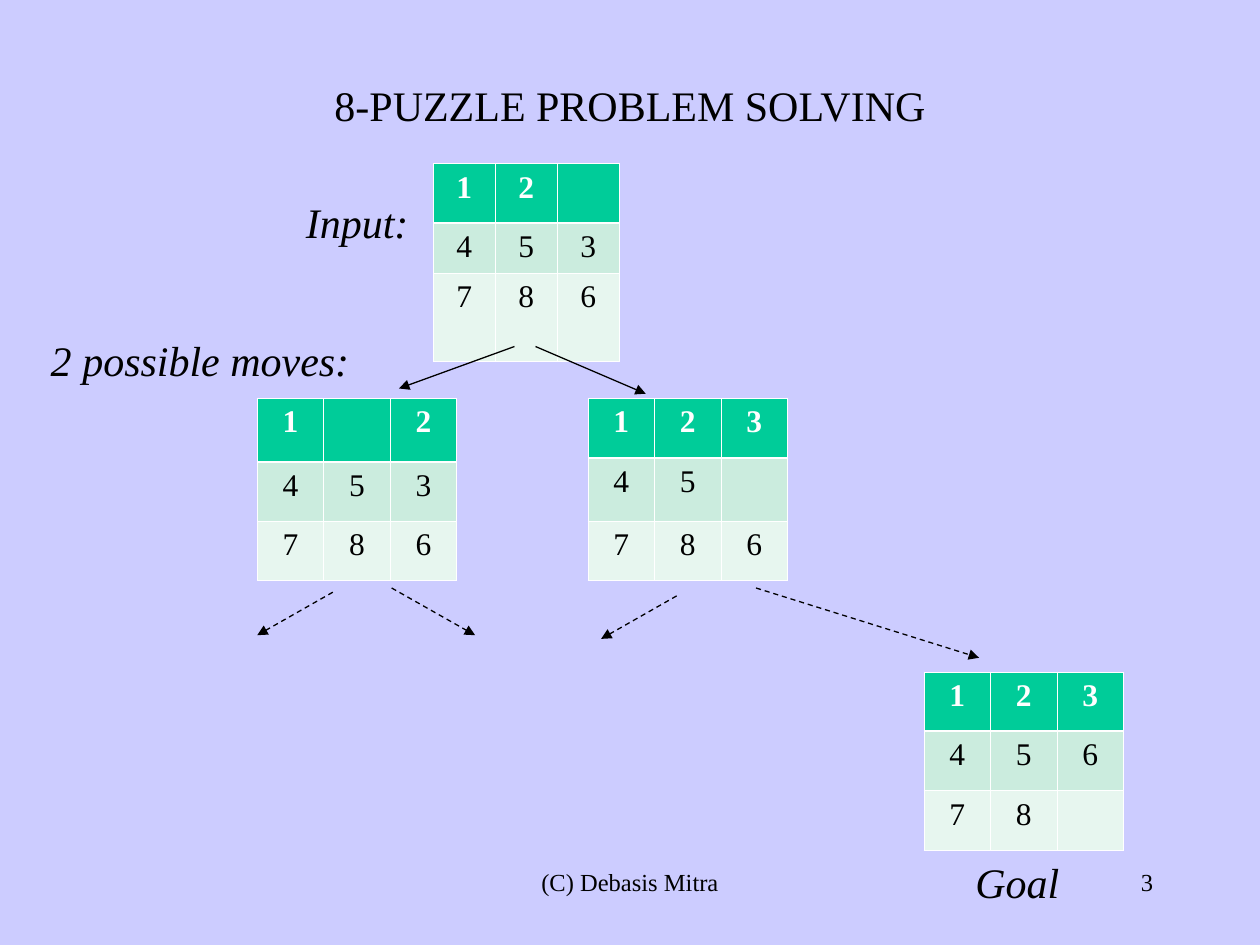
from lxml.etree import SubElement
from pptx import Presentation
from pptx.dml.color import RGBColor
from pptx.enum.dml import MSO_LINE
from pptx.enum.shapes import MSO_CONNECTOR
from pptx.enum.text import MSO_ANCHOR, MSO_AUTO_SIZE, PP_ALIGN
from pptx.oxml.ns import qn
from pptx.util import Inches, Pt

BACKGROUND = RGBColor(0xCC, 0xCC, 0xFF)
BLACK = RGBColor(0, 0, 0)
WHITE = RGBColor(0xFF, 0xFF, 0xFF)
HEADER = RGBColor(0x00, 0xCC, 0x99)
BAND = RGBColor(0xCB, 0xEC, 0xDE)
PALE = RGBColor(0xE7, 0xF6, 0xEF)

# The slide is a grid of 120 columns by 90 rows
COLUMNS, ROWS = 120, 90
CELL = Inches(10) / COLUMNS

THIN, THICK = 0.45, 1.47
TITLE_FONT = {"size": Pt(24), "name": "Times New Roman"}
LABEL_FONT = {**TITLE_FONT, "italic": True}
FOOTER_FONT = {**TITLE_FONT, "size": Pt(14)}
TILE_FONT = {**TITLE_FONT, "size": Pt(18), "bold": False}

# Box (left, top, width), row heights and tiles of each board
PUZZLES = [
    ((88, 64, 19), (5.65, 5.65, 5.65), ("123", "456", "78 ")),
    ((41.25, 15.6, 17.75), (5.65, 4.8, 8.4), ("12 ", "453", "786")),
    ((56, 37.95, 19), (5.65, 6.05, 5.65), ("123", "45 ", "786")),
    ((24.5, 37.95, 19), (6.05, 5.65, 5.65), ("1 2", "453", "786")),
]
LABELS = [
    ((27.95, 18.1, 12.3, 6), "Input:"),
    ((91.7, 81, 10.5, 6), "Goal"),
    ((3.65, 31.25, 30.9, 6), "2 possible moves:"),
]
# Start, end and whether the move is only hinted at
MOVES = [
    ((49, 33), (38, 37), False),
    ((51, 33), (61.5, 37.5), False),
    ((72, 56), (93.25, 62.65), True),
    ((37.3, 56), (45.25, 60.5), True),
    ((31.7, 56.4), (24.5, 60.5), True),
    ((64.45, 56.75), (57.25, 60.85), True),
]


def grid(*steps):
    return [round(step * CELL) for step in steps]


def write(paragraph, text, font, color=BLACK, alignment=PP_ALIGN.LEFT):
    paragraph.alignment = alignment
    run = paragraph.add_run()
    run.text = text
    for name, value in font.items():
        setattr(run.font, name, value)
    run.font.color.rgb = color


def add_title(slide, box, text):
    title = slide.shapes.title
    title.left, title.top, title.width, title.height = grid(*box)
    title.text_frame.vertical_anchor = MSO_ANCHOR.MIDDLE
    write(title.text_frame.paragraphs[0], text, TITLE_FONT, alignment=PP_ALIGN.CENTER)


def add_text(slide, box, text, font, alignment=PP_ALIGN.LEFT):
    frame = slide.shapes.add_textbox(*grid(*box)).text_frame
    frame.word_wrap = True
    write(frame.paragraphs[0], text, font, alignment=alignment)
    return frame


def add_label(slide, box, text):
    # A label stays on one line and its box grows with it
    frame = add_text(slide, box, text, LABEL_FONT)
    frame.word_wrap = False
    frame.auto_size = MSO_AUTO_SIZE.SHAPE_TO_FIT_TEXT


def set_borders(cell, widths):
    properties = cell._tc.get_or_add_tcPr()
    for index, (side, width) in enumerate(widths.items()):
        line = properties.makeelement(qn(f"a:{side}"), {"w": str(Pt(width))})
        fill = SubElement(line, qn("a:solidFill"))
        SubElement(fill, qn("a:srgbClr"), val=str(WHITE))
        properties.insert(index, line)


def add_puzzle(slide, box, heights, tiles):
    left, top, width = box
    table = slide.shapes.add_table(
        3, 3, *grid(left, top, width, sum(heights))).table
    for row, height in zip(table.rows, heights):
        row.height = grid(height)[0]
    for column in table.columns:
        column.width = grid(width / 3)[0]
    for row_index, (row_tiles, fill) in enumerate(zip(tiles, (HEADER, BAND, PALE))):
        is_header = row_index == 0
        for column_index, tile in enumerate(row_tiles):
            cell = table.cell(row_index, column_index)
            cell.fill.solid()
            cell.fill.fore_color.rgb = fill
            set_borders(cell, {"lnL": THIN, "lnR": THIN,
                               "lnT": THICK if row_index == 1 else THIN,
                               "lnB": THICK if is_header else THIN})
            if tile != " ":
                write(cell.text_frame.paragraphs[0], tile,
                      {**TILE_FONT, "bold": is_header},
                      WHITE if is_header else BLACK, PP_ALIGN.CENTER)


def add_move(slide, start, end, dashed):
    arrow = slide.shapes.add_connector(
        MSO_CONNECTOR.STRAIGHT, *grid(*start, *end))
    arrow.line.color.rgb = BLACK
    arrow.line.width = Pt(0.75)
    if dashed:
        arrow.line.dash_style = MSO_LINE.DASH
    SubElement(arrow.line._get_or_add_ln(), qn("a:tailEnd"), type="triangle")
    SubElement(arrow._element.spPr, qn("a:effectLst"))


def main():
    presentation = Presentation()
    presentation.slide_width = round(COLUMNS * CELL)
    presentation.slide_height = round(ROWS * CELL)
    slide = presentation.slides.add_slide(presentation.slide_layouts[5])
    slide.background.fill.solid()
    slide.background.fill.fore_color.rgb = BACKGROUND

    add_title(slide, (9, 4, 102, 12), "8-PUZZLE PROBLEM SOLVING")

    # Search tree: boards, labels and moves
    for puzzle in PUZZLES:
        add_puzzle(slide, *puzzle)
    for label in LABELS:
        add_label(slide, *label)
    for move in MOVES:
        add_move(slide, *move)

    # Footer and slide number
    add_text(slide, (41, 82, 38, 6), "(C) Debasis Mitra", FOOTER_FONT, PP_ALIGN.CENTER)
    add_text(slide, (86, 82, 25, 6), "3", FOOTER_FONT, PP_ALIGN.RIGHT)

    presentation.save("out.pptx")


if __name__ == "__main__":
    main()
